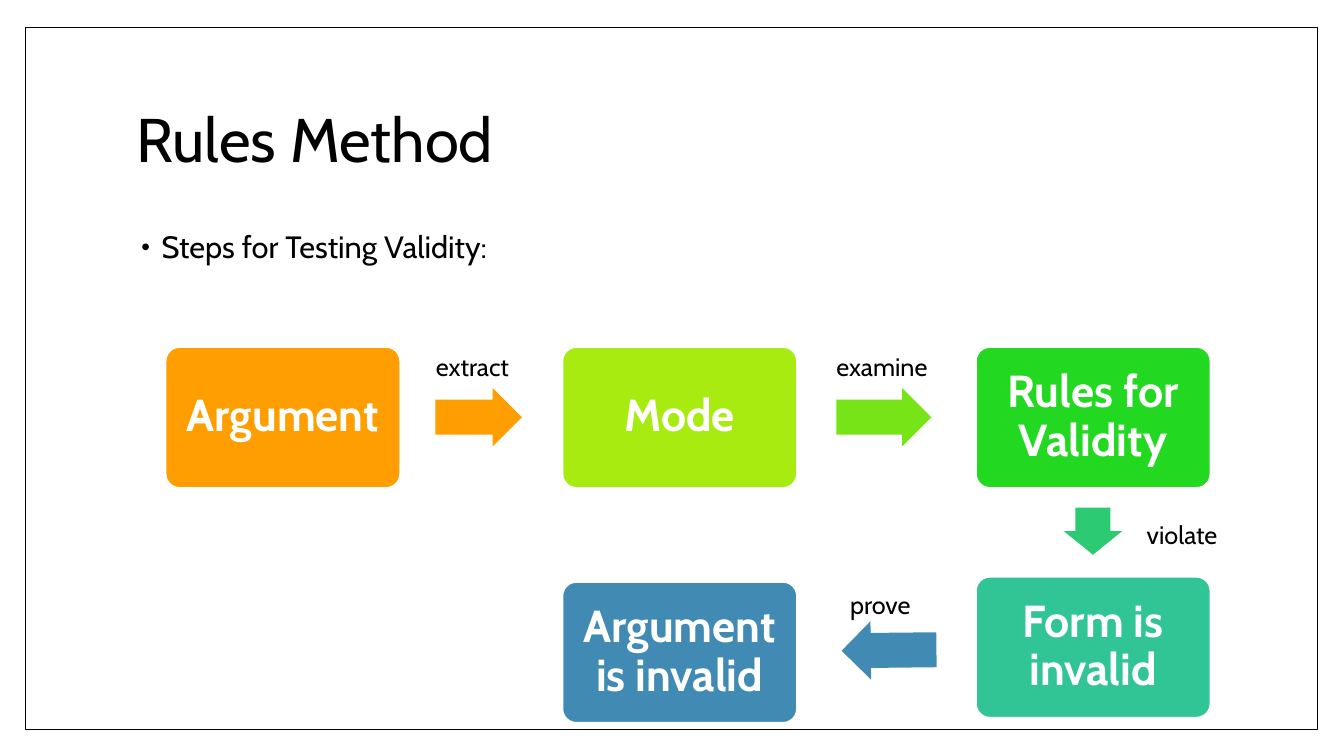
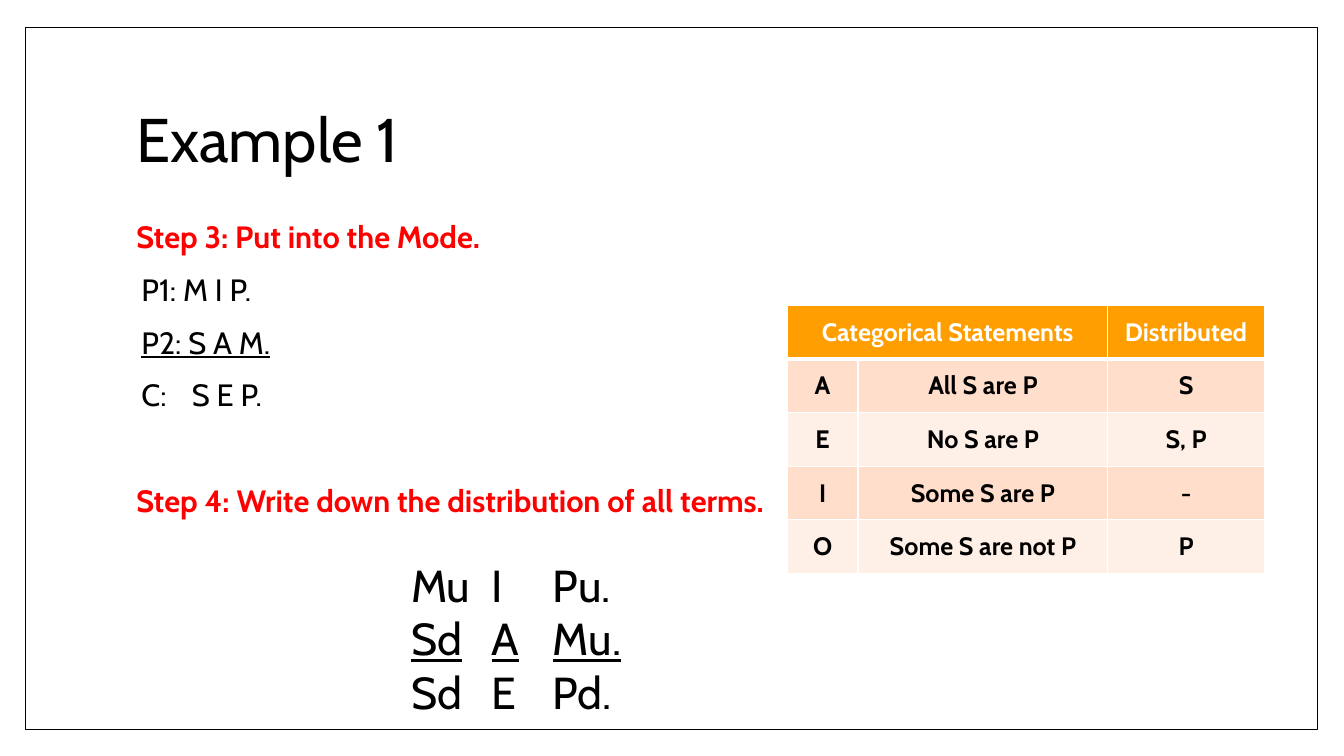
from lxml.etree import SubElement
from pptx import Presentation
from pptx.dml.color import RGBColor
from pptx.enum.shapes import MSO_SHAPE
from pptx.enum.text import MSO_ANCHOR, MSO_AUTO_SIZE, PP_ALIGN
from pptx.oxml.ns import qn
from pptx.util import Cm, Pt

COLOURS = {
    "black": "000000", "white": "FFFFFF", "red": "FF0000",
    "orange": "FE9E00", "lime": "A8EB11", "leaf": "76E416",
    "green": "23D821", "mint": "2CCB73", "teal": "31C595", "blue": "418AB3",
    "band_dark": "FFDFCC", "band_light": "FFF0E7",
}


def colour(name):
    """Return the named colour of the palette."""
    return RGBColor.from_string(COLOURS[name])


class Deck:
    """Holds the presentation, its style and the current slide."""

    font = "Cabin"

    def __init__(self):
        self.show = Presentation()
        self.show.slide_width, self.show.slide_height = Cm(33.87), Cm(19.05)
        self.page = None

    def new_page(self, title):
        """Add a slide with its title."""
        self.page = self.show.slides.add_slide(self.show.slide_layouts[1])
        box = self.page.shapes.title
        self.place(box, (3.18, 1.7, 27.43, 3.76))
        box.text_frame.vertical_anchor = MSO_ANCHOR.MIDDLE
        box.text_frame.auto_size = MSO_AUTO_SIZE.NONE
        self.set_para(box.text_frame.paragraphs[0], title, 44,
                      align=PP_ALIGN.LEFT, spacing=0.9)

    def place(self, item, area):
        """Move and size an item: left, top, width, height in centimetres."""
        item.left, item.top, item.width, item.height = map(Cm, area)

    def set_para(self, para, text, size, ink="black", bold=False,
                 underline=False, align=None, spacing=None, before=None,
                 tabs=()):
        """Fill and format one paragraph."""
        para.text = text
        para.alignment = align
        para.line_spacing = spacing
        para.space_before = None if before is None else Pt(before)
        if tabs:
            stops = SubElement(para._p.get_or_add_pPr(), qn("a:tabLst"))
            for stop in tabs:
                SubElement(stops, qn("a:tab"), pos=str(Cm(stop)), algn="l")
        font = para.font
        font.name, font.size = self.font, Pt(size)
        font.bold, font.underline = bold, underline
        font.color.rgb = colour(ink)

    def indent(self, para, margin=0, first=0, bullet=None):
        """Set the indents of a list paragraph, and its bullet if any."""
        props = para._p.get_or_add_pPr()
        props.set("marL", str(Cm(margin)))
        props.set("indent", str(Cm(first)))
        if bullet:
            SubElement(props, qn("a:buSzPct"), val="80000")
            SubElement(props, qn("a:buFont"), typeface="Arial")
            SubElement(props, qn("a:buChar"), char=bullet)
        else:
            SubElement(props, qn("a:buNone"))

    def body(self, area, items):
        """Fill the body placeholder from (text, indents, format) items."""
        box = self.page.placeholders[1]
        self.place(box, area)
        frame = box.text_frame
        frame.auto_size = MSO_AUTO_SIZE.NONE
        for number, (text, indents, style) in enumerate(items):
            para = frame.add_paragraph() if number else frame.paragraphs[0]
            self.indent(para, **indents)
            self.set_para(para, text, 22,
                          **{"spacing": 0.9, "before": 14, **style})

    def shape(self, kind, area, fill, line=None, width=1.0):
        """Add a flat preset shape."""
        item = self.page.shapes.add_shape(kind, *map(Cm, area))
        item.shadow.inherit = False
        item.fill.solid()
        item.fill.fore_color.rgb = colour(fill)
        if line:
            item.line.color.rgb = colour(line)
            item.line.width = Pt(width)
        else:
            item.line.fill.background()
        return item

    def master_frame(self):
        """Move a thin page border to the back of the master."""
        border = self.shape(MSO_SHAPE.RECTANGLE, (0.64, 0.69, 32.56, 17.7),
                            "white", "black")
        border.element.nvSpPr.cNvPr.set("id", "20")
        self.show.slide_master.shapes.element.insert(2, border.element)

    def step(self, left, top, text, fill):
        """Add a rounded box that names one step."""
        item = self.shape(MSO_SHAPE.ROUNDED_RECTANGLE, (left, top, 5.92, 3.56),
                          fill, "white", 1.5)
        item.adjustments[0] = 0.1
        frame = item.text_frame
        frame.word_wrap = True
        frame.vertical_anchor = MSO_ANCHOR.MIDDLE
        frame.margin_left = frame.margin_right = Cm(0.32)
        frame.margin_top = frame.margin_bottom = Cm(0.32)
        self.set_para(frame.paragraphs[0], text, 32, "white", bold=True,
                      align=PP_ALIGN.CENTER, spacing=0.9)

    def arrow(self, kind, area, fill, turn=0):
        """Add a block arrow."""
        item = self.shape(kind, area, fill)
        item.adjustments[0], item.adjustments[1] = 0.6, 0.5
        item.rotation = turn

    def text(self, area, lines, size, align=None, tabs=()):
        """Add a text box from (text, underline) lines."""
        box = self.page.shapes.add_textbox(*map(Cm, area))
        frame = box.text_frame
        frame.word_wrap = True
        frame.auto_size = MSO_AUTO_SIZE.SHAPE_TO_FIT_TEXT
        for number, (words, underline) in enumerate(lines):
            para = frame.add_paragraph() if number else frame.paragraphs[0]
            self.set_para(para, words, size, underline=underline, align=align,
                          tabs=tabs)

    def borders(self, cell, widths):
        """Draw white borders of the given widths on a cell."""
        props = cell._tc.get_or_add_tcPr()
        for side in "LRTB":
            line = SubElement(props, qn(f"a:ln{side}"),
                              w=str(Pt(widths.get(side, 1))))
            paint = SubElement(line, qn("a:solidFill"))
            SubElement(paint, qn("a:srgbClr"), val=COLOURS["white"])

    def table(self, left, top, widths, height, rows):
        """Add a banded table whose header spans its first two columns."""
        grid = self.page.shapes.add_table(
            len(rows), len(widths), Cm(left), Cm(top),
            Cm(sum(widths)), Cm(height * len(rows))).table
        for column, width in zip(grid.columns, widths):
            column.width = Cm(width)
        grid.cell(0, 0).merge(grid.cell(0, 1))
        for r, row in enumerate(rows):
            grid.rows[r].height = Cm(height)
            fill = "orange" if r == 0 else "band_dark" if r % 2 else "band_light"
            for c, words in enumerate(row):
                cell = grid.cell(r, c)
                self.borders(cell, {0: {"B": 3}, 1: {"T": 3}}.get(r, {}))
                cell.fill.solid()
                cell.fill.fore_color.rgb = colour(fill)
                cell.vertical_anchor = MSO_ANCHOR.MIDDLE
                if words:
                    self.set_para(cell.text_frame.paragraphs[0], words, 18,
                                  "black" if r else "white", bold=True,
                                  align=PP_ALIGN.CENTER)


def rules_method(deck):
    """Build the flow of steps that tests validity."""
    deck.new_page("Rules Method")
    deck.master_frame()
    deck.body((3.18, 5.72, 27.43, 11.23), [
        ("Steps for Testing Validity:",
         {"margin": 0.64, "first": -0.51, "bullet": "•"}, {})])

    first, second, third = 4.17, 14.17, 24.59
    upper = 8.74
    for left, top, words, fill in [
            (first, upper, "Argument", "orange"),
            (second, upper, "Mode", "lime"),
            (third, upper, "Rules for Validity", "green"),
            (third, 14.53, "Form is invalid", "teal"),
            (second, 14.66, "Argument is invalid", "blue")]:
        deck.step(left, top, words, fill)

    deck.arrow(MSO_SHAPE.RIGHT_ARROW, (10.97, 9.78, 2.18, 1.47), "orange")
    deck.arrow(MSO_SHAPE.RIGHT_ARROW, (21.08, 9.78, 2.39, 1.47), "leaf")
    deck.arrow(MSO_SHAPE.DOWN_ARROW, (26.81, 12.79, 1.47, 1.19), "mint")
    deck.arrow(MSO_SHAPE.LEFT_ARROW, (21.21, 15.65, 2.39, 1.47), "blue", -0.6)

    for left, top, width, words, align in [
            (10.29, upper, 3.23, "extract", PP_ALIGN.CENTER),
            (20.47, upper, 3.51, "examine", PP_ALIGN.CENTER),
            (28.65, 12.95, 3.23, "violate", PP_ALIGN.LEFT),
            (20.57, 14.73, 3.23, "prove", PP_ALIGN.CENTER)]:
        deck.text((left, top, width, 1.02), [(words, False)], 18, align)


def example(deck):
    """Build the worked example with its table of distribution."""
    deck.new_page("Example 1")
    heading = {"ink": "red", "bold": True}
    inset = {"margin": 0.13}
    deck.body((3.18, 5.46, 24.33, 11), [
        ("Step 3: Put into the Mode.", {}, heading),
        ("P1: M I P.", inset, {}),
        ("P2: S A M.", inset, {"underline": True}),
        ("C:\tS E P.", inset, {"tabs": [1]}),
        ("Step 4: Write down the distribution of all terms.", {},
         {**heading, "before": 52})])
    deck.table(19.84, 7.7, [1.78, 6.3, 3.94], 1.35, [
        ("Categorical Statements", "", "Distributed"),
        ("A", "All S are P", "S"),
        ("E", "No S are P", "S, P"),
        ("I", "Some S are P", "-"),
        ("O", "Some S are not P", "P")])
    deck.text((10.11, 13.92, 6.71, 4.37), [
        ("Mu\tI\tPu.", False),
        ("Sd\tA\tMu.", True),
        ("Sd\tE\tPd.", False)], 32, tabs=[2.03, 3.57])


deck = Deck()
rules_method(deck)
example(deck)
deck.show.save("out.pptx")
